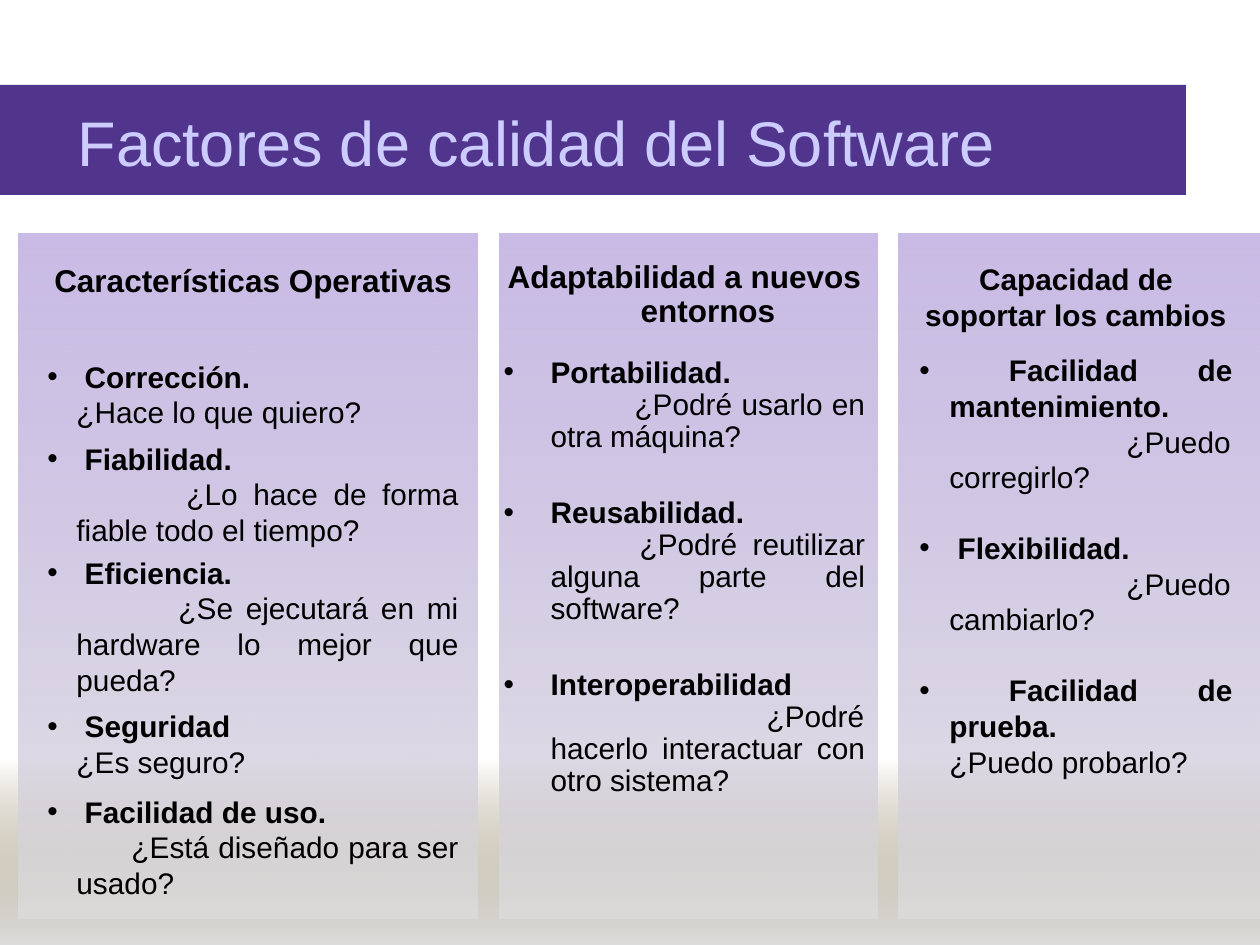
from pptx import Presentation
from pptx.dml.color import RGBColor as RGB
from pptx.enum.shapes import MSO_SHAPE as SHAPE
from pptx.enum.text import MSO_ANCHOR as ANCHOR, MSO_AUTO_SIZE as FIT, PP_ALIGN as ALIGN
from pptx.oxml.ns import qn
from pptx.util import Pt
from lxml import etree

PX = 914400 / 126
THEME = dict(font="Arial", title=36, head=18, text=17, bar="51358C", title_ink="CCCCFF",
             ink="000000", panel="A188D2", floor="765E2F", grey="DDDDDD")


def add_rect(box, stops):
    sp = s.shapes.add_shape(SHAPE.RECTANGLE, *[int(v * PX) for v in box])
    sp.shadow.inherit = False
    sp.line.fill.background()
    if len(stops) == 1:
        sp.fill.solid()
        sp.fill.fore_color.rgb = RGB.from_string(stops[0][0])
        return
    sp.fill.gradient()
    sp.fill.gradient_angle = 270
    for stop, (color, _) in zip(sp.fill.gradient_stops, stops):
        stop.color.rgb = RGB.from_string(color)
    for clr, (_, alpha) in zip(sp.element.spPr.iter(qn("a:srgbClr")), stops):
        etree.SubElement(clr, qn("a:alpha")).set("val", str(alpha * 1000))


def add_text(tf, text, size, color, align, bold=False, before=0, spacing=1.0,
             margin=0, indent=0, bullet=False):
    p = tf.paragraphs[0] if not tf.text else tf.add_paragraph()
    p.text = text
    p.alignment, p.line_spacing = align, spacing
    p.space_before, p.space_after = Pt(before), Pt(0)
    pPr = p._p.get_or_add_pPr()
    pPr.set("marL", str(int(margin * PX)))
    pPr.set("indent", str(int(indent * PX)))
    if bullet:
        etree.SubElement(pPr, qn("a:buFont")).set("typeface", THEME["font"])
        etree.SubElement(pPr, qn("a:buChar")).set("char", "•")
    else:
        etree.SubElement(pPr, qn("a:buNone"))
    for r in p.runs:
        r.font.name, r.font.size, r.font.bold = THEME["font"], Pt(size), bold
        r.font.color.rgb = RGB.from_string(color)


prs = Presentation()
prs.slide_width, prs.slide_height = int(1260 * PX), int(945 * PX)
s = prs.slides.add_slide(prs.slide_layouts[1])
title, body = s.shapes.title, s.placeholders[1]

add_rect((0, 760, 1260, 185), [(THEME["floor"], 0), (THEME["grey"], 100)])
for left, width in [(898, 362), (500, 378), (19, 458)]:
    add_rect((left, 234, width, 685), [(THEME["panel"], 57), (THEME["grey"], 76)])
add_rect((0, 85, 1186, 110), [(THEME["bar"], 100)])

s.shapes.element.append(title.element)
title.left, title.top, title.width, title.height = [int(v * PX) for v in (65, 106, 1150, 71)]
title.text_frame.vertical_anchor = ANCHOR.MIDDLE
title.text_frame.auto_size = FIT.NONE
add_text(title.text_frame, "Factores de calidad del Software", THEME["title"],
         THEME["title_ink"], ALIGN.LEFT)

columns = [
    dict(box=(491, 255, 387, 476), head="Adaptabilidad a nuevos entornos", size=THEME["head"],
         spacing=0.9, hang=47, head_hang=47, factors=[
             ("Portabilidad.", "¿Podré usarlo en otra máquina?", 16, 84),
             ("Reusabilidad.", "¿Podré reutilizar alguna parte del software?", 25, 89),
             ("Interoperabilidad", "¿Podré hacerlo interactuar con otro sistema?", 25, 216)]),
    dict(box=(35, 255, 436, 616), head="Características Operativas", size=THEME["head"],
         spacing=1.0, hang=29, head_hang=0, factors=[
             (" Corrección.", "¿Hace lo que quiero?", 34, 0),
             (" Fiabilidad.", "¿Lo hace de forma fiable todo el tiempo?", 6, 110),
             (" Eficiencia.", "¿Se ejecutará en mi hardware lo mejor que pueda?", 4, 102),
             (" Seguridad", "¿Es seguro?", 6, 0),
             (" Facilidad de uso.", "¿Está diseñado para ser usado?", 8, 55)]),
    dict(box=(907, 255, 338, 479), head="Capacidad de soportar los cambios", size=THEME["text"],
         spacing=1.0, hang=30, head_hang=0, factors=[
             (" Facilidad de mantenimiento.", "¿Puedo corregirlo?", 11, 177),
             (" Flexibilidad.", "¿Puedo cambiarlo?", 20, 177),
             (" Facilidad de prueba.", "¿Puedo probarlo?", 20, 0)]),
]

for i, col in enumerate(columns):
    box = [int(v * PX) for v in col["box"]]
    if i == 0:
        sp = body
        sp.left, sp.top, sp.width, sp.height = box
        s.shapes.element.append(sp.element)
    else:
        sp = s.shapes.add_textbox(*box)
    tf = sp.text_frame
    tf.word_wrap, tf.auto_size = True, FIT.NONE
    hang, spacing = col["hang"], col["spacing"]
    add_text(tf, col["head"], col["size"], THEME["ink"], ALIGN.CENTER, bold=True,
             spacing=spacing, margin=col["head_hang"], indent=-col["head_hang"])
    for name, question, before, indent in col["factors"]:
        add_text(tf, name, THEME["text"], THEME["ink"], ALIGN.JUSTIFY, bold=True, before=before,
                 spacing=spacing, margin=hang, indent=-hang, bullet=True)
        add_text(tf, question, THEME["text"], THEME["ink"], ALIGN.JUSTIFY,
                 spacing=spacing, margin=hang, indent=indent)

prs.save("out.pptx")
